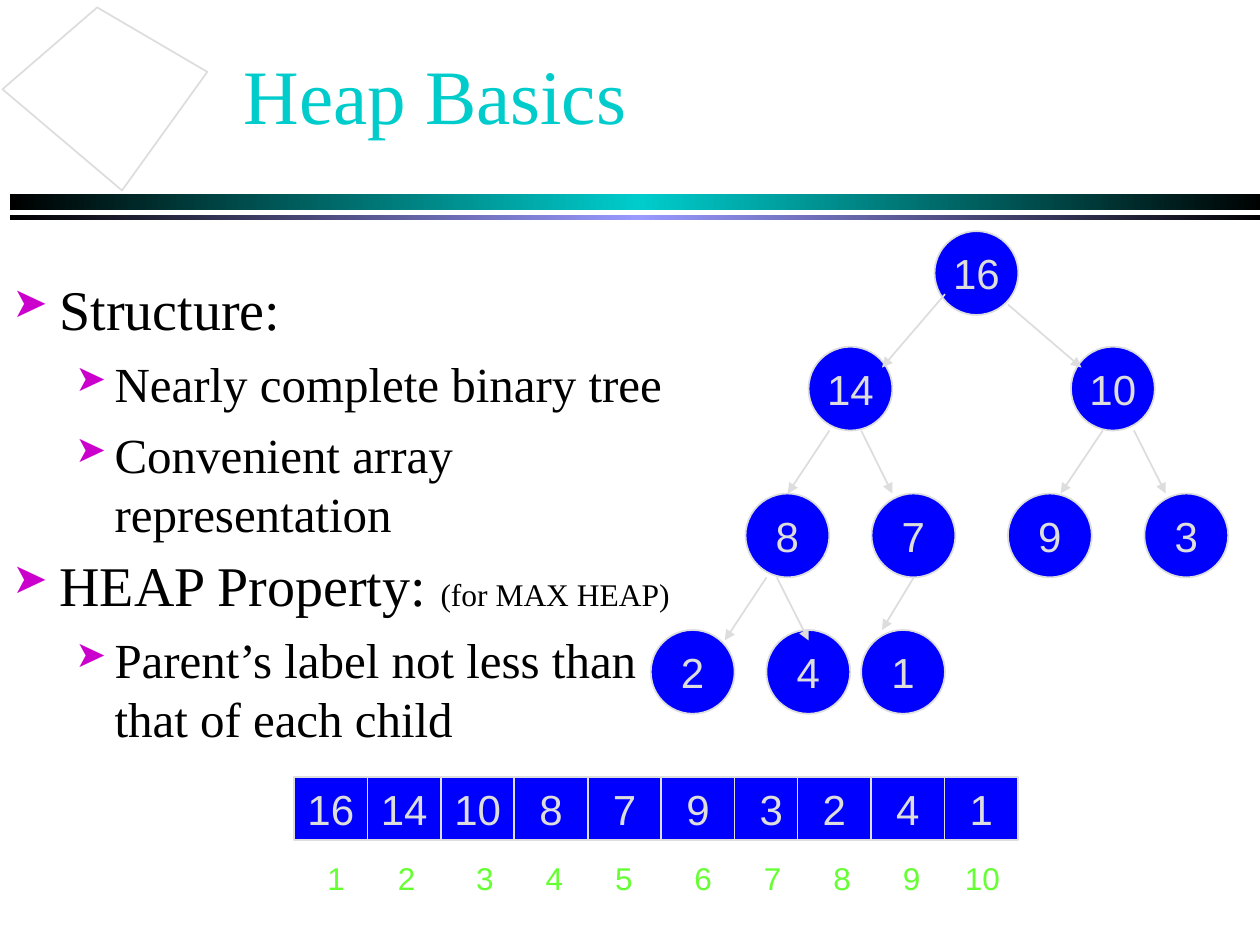
from copy import deepcopy
from dataclasses import dataclass

from lxml import etree
from pptx import Presentation
from pptx.dml.color import RGBColor
from pptx.enum.shapes import MSO_CONNECTOR, MSO_SHAPE
from pptx.enum.text import MSO_ANCHOR, PP_ALIGN
from pptx.oxml.ns import qn
from pptx.util import Cm, Pt

RECT, OVAL = MSO_SHAPE.RECTANGLE, MSO_SHAPE.OVAL
LINE = MSO_CONNECTOR.STRAIGHT
MIDDLE, CENTER = MSO_ANCHOR.MIDDLE, PP_ALIGN.CENTER


@dataclass(frozen=True)
class Theme:
    black: str = "000000"
    white: str = "FFFFFF"
    teal: str = "00CCCC"
    lilac: str = "9999FF"
    blue: str = "0000FF"
    gray: str = "DDDDDD"
    green: str = "66FF33"
    pink: str = "CC00CC"
    serif: str = "Times New Roman"
    sans: str = "Arial"
    title: int = 44
    head: int = 32
    item: int = 28
    label: int = 24
    small: int = 18


theme = Theme()


def style(run, size, color, face):
    run.font.size = Pt(size)
    run.font.color.rgb = RGBColor.from_string(color)
    run.font.name = face


def add_cell(kind, left, top, width, height, label):
    """Add one blue heap entry with a centred label."""
    cell = slide.shapes.add_shape(kind, Cm(left), Cm(top), Cm(width), Cm(height))
    cell.shadow.inherit = False
    cell.fill.solid()
    cell.fill.fore_color.rgb = RGBColor.from_string(theme.blue)
    cell.line.color.rgb = RGBColor.from_string(theme.gray)
    cell.line.width = Pt(1)
    frame = cell.text_frame
    frame.text = label
    frame.word_wrap = False
    frame.vertical_anchor = MIDDLE
    para = frame.paragraphs[0]
    para.alignment = CENTER
    style(para.runs[0], theme.label, theme.gray, theme.sans)


deck = Presentation()
deck.slide_width, deck.slide_height = Cm(25.4), Cm(19.05)
slide = deck.slides.add_slide(deck.slide_layouts[6])

# Gradient rules under the title
for top, height, middle in [(3.91, 0.32, theme.teal), (4.34, 0.1, theme.lilac)]:
    bar = slide.shapes.add_shape(RECT, Cm(0.2), Cm(top), Cm(25.38), Cm(height))
    bar.shadow.inherit = False
    bar.line.fill.background()
    bar.fill.gradient()
    bar.fill.gradient_angle = 0
    stops = bar._element.spPr.find(".//" + qn("a:gsLst"))
    stops.append(deepcopy(stops[0]))
    colors = [theme.black, middle, theme.black]
    for stop, color, place in zip(bar.fill.gradient_stops, colors, [0, 0.5, 1]):
        stop.color.rgb = RGBColor.from_string(color)
        stop.position = place

# Corner outline
pen = slide.shapes.build_freeform(Cm(2.46), Cm(3.84))
pen.add_line_segments(
    [(Cm(x), Cm(y)) for x, y in [(0.05, 1.8), (1.96, 0.15), (4.18, 1.45)]], close=True)
kite = pen.convert_to_shape()
kite.shadow.inherit = False
kite.fill.solid()
kite.fill.fore_color.rgb = RGBColor.from_string(theme.white)
kite.line.color.rgb = RGBColor.from_string(theme.gray)
kite.line.width = Pt(1)

# Title with a text shadow
title = slide.shapes.add_textbox(Cm(4.66), Cm(0.3), Cm(20.7), Cm(3.18)).text_frame
title.text = "Heap Basics"
title.word_wrap = True
title.vertical_anchor = MIDDLE
run = title.paragraphs[0].runs[0]
style(run, theme.title, theme.teal, theme.serif)
effects = etree.Element(qn("a:effectLst"))
shade = etree.SubElement(effects, qn("a:outerShdw"), dist="25400", dir="2700000")
etree.SubElement(shade, qn("a:srgbClr"), val=theme.black)
run._r.rPr.find(qn("a:solidFill")).addnext(effects)

# Bullets: level, space before, runs of (text, size)
points = [
    (0, 0, [("Structure:", theme.head)]),
    (1, 7, [("Nearly complete binary tree", theme.item)]),
    (1, 7, [("Convenient array representation", theme.item)]),
    (0, 4.5, [("HEAP Property: ", theme.head), ("(for MAX HEAP)", theme.small)]),
    (1, 7, [("Parent’s label not less than that of each child", theme.item)]),
]
indents = [(0.95, -0.95), (2.06, -0.79)]
body = slide.shapes.add_textbox(Cm(0), Cm(5.4), Cm(14.4), Cm(11.86)).text_frame
body.word_wrap = True
for i, (level, gap, parts) in enumerate(points):
    para = body.add_paragraph() if i else body.paragraphs[0]
    para.level = level
    para.space_before = Pt(gap)
    margin, hang = indents[level]
    props = para._p.get_or_add_pPr()
    props.set("marL", str(Cm(margin)))
    props.set("indent", str(Cm(hang)))
    tint = etree.SubElement(props, qn("a:buClr"))
    etree.SubElement(tint, qn("a:srgbClr"), val=theme.pink)
    etree.SubElement(props, qn("a:buSzPct"), val="75000")
    etree.SubElement(props, qn("a:buChar"), char="➤")
    for text, size in parts:
        run = para.add_run()
        run.text = text
        style(run, size, theme.black, theme.serif)

# Heap as a tree: top of each level, then (left, key) of its nodes
heap = [
    (4.66, [(18.84, 16)]),
    (6.99, [(16.3, 14), (21.59, 10)]),
    (9.95, [(15.03, 8), (17.57, 7), (20.32, 9), (23.07, 3)]),
    (12.7, [(13.12, 2), (15.45, 4), (17.36, 1)]),
]
for top, nodes in heap:
    for left, key in nodes:
        add_cell(OVAL, left, top, 1.69, 1.69, str(key))

edges = [
    (19.05, 5.93, 17.78, 7.41), (20.32, 6.14, 21.8, 7.41),
    (16.72, 8.68, 15.88, 9.95), (17.36, 8.68, 17.99, 9.95),
    (22.23, 8.68, 21.38, 9.95), (22.86, 8.68, 23.5, 9.95),
    (15.45, 11.64, 14.61, 12.91), (15.66, 11.64, 16.3, 12.91),
    (18.42, 11.64, 17.78, 12.7),
]
for edge in edges:
    arrow = slide.shapes.add_connector(LINE, *map(Cm, edge))
    arrow.line.color.rgb = RGBColor.from_string(theme.gray)
    arrow.line.width = Pt(1)
    etree.SubElement(arrow.line._get_or_add_ln(), qn("a:tailEnd"), type="triangle")
    etree.SubElement(arrow._element.spPr, qn("a:effectLst"))

# Heap as an array; the last three cells sit slightly closer
keys = [key for top, nodes in heap for left, key in nodes]
for i, key in enumerate(keys):
    shift = 0.21 if i >= 7 else 0
    add_cell(RECT, 5.93 + 1.48 * i - shift, 15.66, 1.48, 1.27, str(key))

# Array positions on tab stops
index = slide.shapes.add_textbox(Cm(6.35), Cm(17.2), Cm(14.8), Cm(1.02)).text_frame
index.word_wrap = True
index.text = "\t".join(str(i + 1) for i in range(len(keys)))
para = index.paragraphs[0]
tabs = etree.SubElement(para._p.get_or_add_pPr(), qn("a:tabLst"))
for stop in [1.42, 3, 4.4, 5.8, 7.4, 8.8, 10.2, 11.6, 12.85]:
    etree.SubElement(tabs, qn("a:tab"), pos=str(Cm(stop)), algn="l")
style(para.runs[0], theme.small, theme.green, theme.sans)

deck.save("out.pptx")
